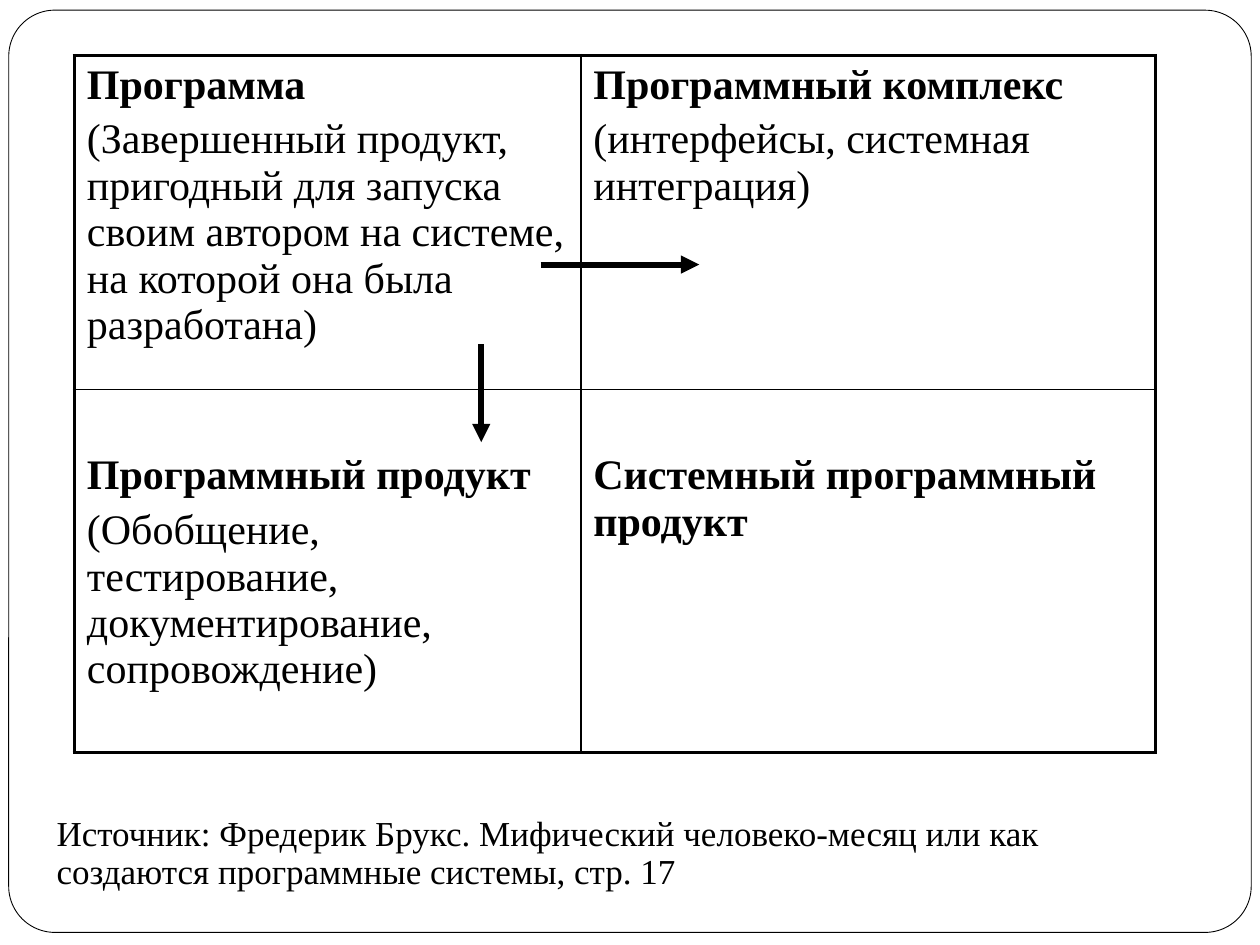
from dataclasses import dataclass

from lxml import etree
from pptx import Presentation
from pptx.dml.color import RGBColor
from pptx.enum.shapes import MSO_CONNECTOR, MSO_SHAPE
from pptx.oxml.ns import qn
from pptx.slide import Slide
from pptx.table import _Cell
from pptx.text.text import TextFrame
from pptx.util import Pt

ROUNDED = MSO_SHAPE.ROUNDED_RECTANGLE
STRAIGHT = MSO_CONNECTOR.STRAIGHT


@dataclass(frozen=True)
class Theme:
    font: str = "Times New Roman"
    ink: RGBColor = RGBColor(0, 0, 0)
    paper: RGBColor = RGBColor(255, 255, 255)
    cell_size: float = 24
    source_size: float = 20
    frame_line: float = 0.5
    inner_line: float = 1
    outer_line: float = 2.25
    arrow_line: float = 3.5


@dataclass(frozen=True)
class Stage:
    row: int
    column: int
    name: str
    details: str = ""


@dataclass(frozen=True)
class Arrow:
    x1: float
    y1: float
    x2: float
    y2: float


THEME = Theme()
COLUMN_WIDTHS = (289.4, 328.4)
ROW_HEIGHTS = (190.8, 207.4)
ROW_TOP_MARGINS = (3.6, 36)
STAGES = (
    Stage(0, 0, "Программа",
          "(Завершенный продукт, пригодный для запуска своим автором на системе, "
          "на которой она была разработана)"),
    Stage(0, 1, "Программный комплекс", "(интерфейсы, системная интеграция)"),
    Stage(1, 0, "Программный продукт",
          "(Обобщение, тестирование, документирование, сопровождение)"),
    Stage(1, 1, "Системный программный продукт"),
)
ARROWS = (Arrow(275, 196.6, 275, 252.7), Arrow(308.9, 151.2, 399.6, 151.2))
SOURCE = ("Источник: Фредерик Брукс. Мифический человеко-месяц или как "
          "создаются программные системы, стр. 17")


def write(frame: TextFrame, text: str, *, size: float, bold: bool = False,
          line_spacing: float = 1.0, new_paragraph: bool = False) -> None:
    paragraph = frame.add_paragraph() if new_paragraph else frame.paragraphs[0]
    paragraph.space_before = Pt(size * 0.2)
    paragraph.line_spacing = line_spacing
    run = paragraph.add_run()
    run.text = text
    run.font.name = THEME.font
    run.font.size = Pt(size)
    run.font.bold = bold
    run.font.color.rgb = THEME.ink


def draw_frame(slide: Slide) -> None:
    frame = slide.shapes.add_shape(ROUNDED, Pt(5), Pt(5.8), Pt(710), Pt(527))
    frame.adjustments[0] = 0.05
    frame.shadow.inherit = False
    frame.fill.solid()
    frame.fill.fore_color.rgb = THEME.paper
    frame.line.color.rgb = THEME.ink
    frame.line.width = Pt(THEME.frame_line)


def set_borders(cell: _Cell, row: int, column: int) -> None:
    outer_sides = {"L": column == 0, "R": column == len(COLUMN_WIDTHS) - 1,
                   "T": row == 0, "B": row == len(ROW_HEIGHTS) - 1}
    properties = cell._tc.get_or_add_tcPr()
    for position, (side, is_outer) in enumerate(outer_sides.items()):
        width = THEME.outer_line if is_outer else THEME.inner_line
        border = etree.Element(qn(f"a:ln{side}"), w=str(Pt(width)))
        fill = etree.SubElement(border, qn("a:solidFill"))
        etree.SubElement(fill, qn("a:srgbClr"), val=str(THEME.ink))
        properties.insert(position, border)


def draw_stages(slide: Slide) -> None:
    matrix = slide.shapes.add_table(
        len(ROW_HEIGHTS), len(COLUMN_WIDTHS), Pt(42.5), Pt(31.7),
        Pt(sum(COLUMN_WIDTHS)), Pt(sum(ROW_HEIGHTS))).table
    matrix.first_row = False
    matrix.horz_banding = False
    for column, width in zip(matrix.columns, COLUMN_WIDTHS):
        column.width = Pt(width)
    for row, height in zip(matrix.rows, ROW_HEIGHTS):
        row.height = Pt(height)
    for stage in STAGES:
        cell = matrix.cell(stage.row, stage.column)
        cell.fill.background()
        cell.margin_top = Pt(ROW_TOP_MARGINS[stage.row])
        set_borders(cell, stage.row, stage.column)
        write(cell.text_frame, stage.name, size=THEME.cell_size, bold=True)
        if stage.details:
            write(cell.text_frame, stage.details, size=THEME.cell_size,
                  new_paragraph=True)


def draw_arrow(slide: Slide, arrow: Arrow) -> None:
    connector = slide.shapes.add_connector(
        STRAIGHT, Pt(arrow.x1), Pt(arrow.y1), Pt(arrow.x2), Pt(arrow.y2))
    connector.line.color.rgb = THEME.ink
    connector.line.width = Pt(THEME.arrow_line)
    properties = connector._element.spPr
    etree.SubElement(properties.find(qn("a:ln")), qn("a:tailEnd"), type="triangle")
    etree.SubElement(properties, qn("a:effectLst"))


def draw_source(slide: Slide) -> None:
    source = slide.shapes.add_textbox(Pt(25.2), Pt(463), Pt(635), Pt(51))
    source.text_frame.word_wrap = True
    write(source.text_frame, SOURCE, size=THEME.source_size, line_spacing=0.9)


def main() -> None:
    deck = Presentation()
    deck.slide_width = Pt(720)
    deck.slide_height = Pt(540)
    slide = deck.slides.add_slide(deck.slide_layouts[6])
    draw_frame(slide)
    draw_stages(slide)
    for arrow in ARROWS:
        draw_arrow(slide, arrow)
    draw_source(slide)
    deck.save("out.pptx")


if __name__ == "__main__":
    main()
